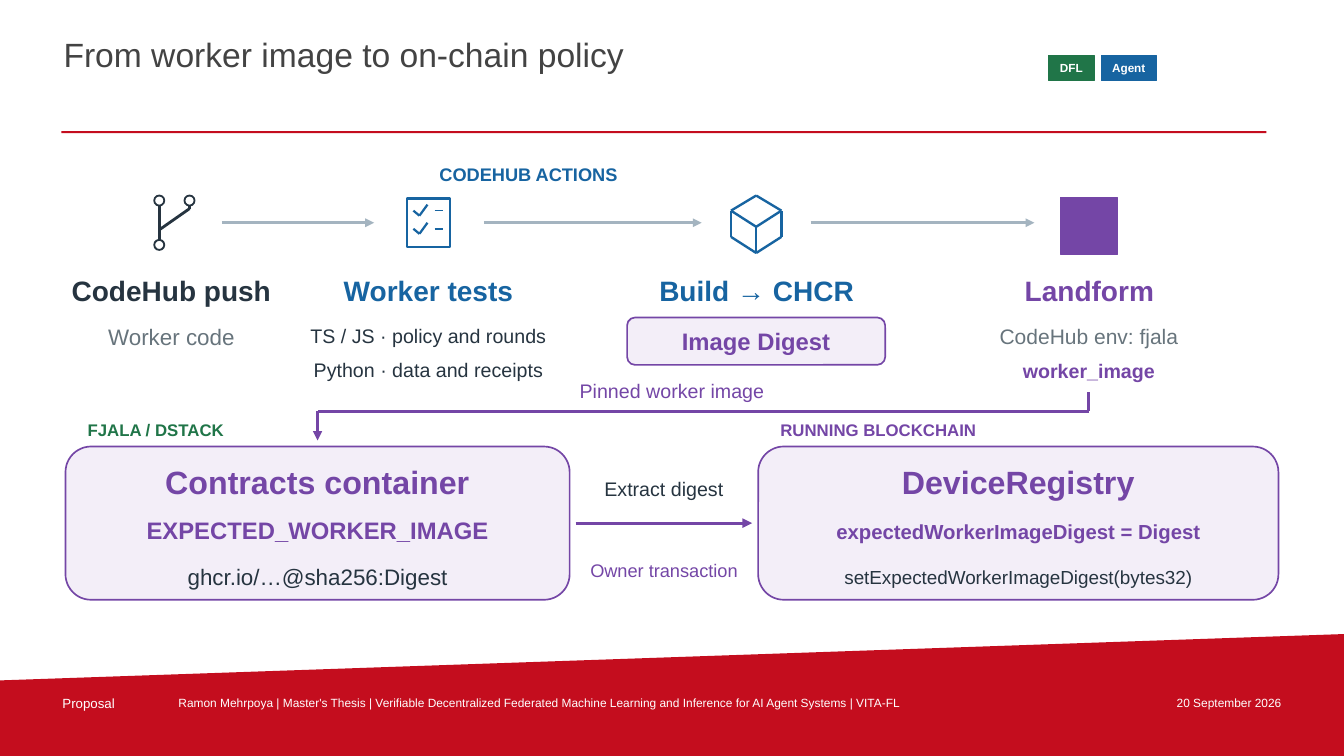
from itertools import pairwise

from lxml.etree import SubElement
from pptx import Presentation
from pptx.dml.color import RGBColor
from pptx.enum.shapes import MSO_CONNECTOR, MSO_SHAPE
from pptx.enum.text import MSO_ANCHOR, PP_ALIGN
from pptx.oxml.ns import qn
from pptx.util import Inches, Pt

RED = RGBColor(0xC4, 0x0D, 0x1E)
GREEN = RGBColor(0x20, 0x75, 0x48)
BLUE = RGBColor(0x17, 0x64, 0xA1)
PURPLE = RGBColor(0x74, 0x46, 0xA6)
LILAC = RGBColor(0xF3, 0xEE, 0xF8)
INK = RGBColor(0x26, 0x34, 0x40)
CHARCOAL = RGBColor(0x43, 0x43, 0x43)
GREY = RGBColor(0x67, 0x74, 0x7C)
STEEL = RGBColor(0xA4, 0xB4, 0xC0)
WHITE = RGBColor(0xFF, 0xFF, 0xFF)

# The grid has ten columns and ten rows to the inch.
CELL = Inches(0.1)
COLUMNS, ROWS = 133.3, 75


def cells(*counts):
    return [round(count * CELL) for count in counts]


class SlideBuilder:
    """Draws on one slide; every position is in grid columns and rows."""

    font_name = "Arial"

    def __init__(self, slide):
        self.slide = slide

    def set_words(self, frame, words, size, color, bold, align, anchor, inset=0):
        frame.word_wrap = True
        frame.vertical_anchor = anchor
        frame.margin_left = frame.margin_right = Inches(inset)
        frame.margin_top = frame.margin_bottom = Inches(inset)
        paragraph = frame.paragraphs[0]
        paragraph.text = words
        paragraph.alignment = align
        font = paragraph.font
        font.name, font.size, font.bold = self.font_name, Pt(size), bold
        font.color.rgb = color

    def label(self, box, words, size, color, bold=False, align=PP_ALIGN.CENTER):
        frame = self.slide.shapes.add_textbox(*cells(*box)).text_frame
        self.set_words(frame, words, size, color, bold, align, MSO_ANCHOR.MIDDLE)

    def page_text(self, box, words, size, color, align=PP_ALIGN.LEFT):
        """Title and footer text: top anchored with a thin margin."""
        frame = self.slide.shapes.add_textbox(*cells(*box)).text_frame
        self.set_words(frame, words, size, color, False, align, MSO_ANCHOR.TOP, 0.02)

    def paint(self, shape, fill, outline, width):
        shape.shadow.inherit = False
        shape.fill.solid()
        shape.fill.fore_color.rgb = fill
        if outline is None:
            shape.line.fill.background()
        else:
            shape.line.color.rgb = outline
            shape.line.width = Pt(width)

    def block(self, box, fill, outline=None, width=0.5, kind=MSO_SHAPE.RECTANGLE):
        shape = self.slide.shapes.add_shape(kind, *cells(*box))
        self.paint(shape, fill, outline, width)
        return shape

    def badge(self, box, words, size, color, fill, outline, width,
              kind=MSO_SHAPE.RECTANGLE):
        shape = self.block(box, fill, outline, width, kind)
        self.set_words(shape.text_frame, words, size, color, True,
                       PP_ALIGN.CENTER, MSO_ANCHOR.MIDDLE)

    def polygon(self, points, fill):
        start, *rest = [cells(*point) for point in points]
        builder = self.slide.shapes.build_freeform(*start)
        builder.add_line_segments(rest, close=True)
        self.paint(builder.convert_to_shape(), fill, None, 0)

    def route(self, points, color, width, arrow=False):
        """Joins the points with straight lines, with an optional arrowhead at the end."""
        for start, end in pairwise(points):
            line = self.slide.shapes.add_connector(
                MSO_CONNECTOR.STRAIGHT, *cells(*start, *end))
            line.line.color.rgb = color
            line.line.width = Pt(width)
            properties = line.element.spPr
            SubElement(properties, qn("a:effectLst"))
        if arrow:
            SubElement(properties.find(qn("a:ln")), qn("a:tailEnd"), type="triangle")


def draw_frame(page):
    page.polygon([(0, 67.5), (COLUMNS, 62.9), (COLUMNS, ROWS), (0, ROWS)], RED)
    page.page_text((6.1, 3.2, 96.5, 6.2), "From worker image to on-chain policy",
                   24, CHARCOAL)
    page.block((6.1, 13, 119.5, 0.2), RED)
    thesis = " | ".join([
        "Ramon Mehrpoya", "Master's Thesis",
        "Verifiable Decentralized Federated Machine Learning and Inference"
        " for AI Agent Systems", "VITA-FL"])
    page.page_text((6, 68.8, 10, 2.2), "Proposal", 9.5, WHITE)
    page.page_text((17.5, 68.8, 93.5, 2.2), thesis, 8.5, WHITE)
    page.page_text((112, 68.8, 15.3, 2.2), "20 September 2026", 8.5, WHITE,
                   PP_ALIGN.RIGHT)
    for left, width, tag, color in [(104, 4.5, "DFL", GREEN),
                                    (109.2, 5.5, "Agent", BLUE)]:
        page.badge((left, 5.5, width, 2.5), tag, 8.4, WHITE, color, color, 0.55)


def draw_icons(page):
    # Branch
    page.route([(15.8, 19.9), (15.8, 24.3)], INK, 2)
    page.route([(15.8, 22.8), (18.8, 20.7), (18.8, 19.9)], INK, 2)
    for x, y in [(15.8, 19.9), (15.8, 24.3), (18.8, 19.9)]:
        page.block((x - 0.5, y - 0.5, 1, 1), WHITE, INK, 1.3, MSO_SHAPE.OVAL)
    # Checklist
    page.block((40.4, 19.7, 4.2, 4.8), WHITE, BLUE, 1.6)
    for y in (20.9, 22.7):
        page.route([(41, y), (41.6, y + 0.5), (42.4, y - 0.6)], BLUE, 1.6)
        page.route([(43.1, y), (43.9, y)], BLUE, 1.2)
    # Cube
    top, centre, bottom = (75, 19.4), (75, 22.5), (75, 25.1)
    left, right = (72.5, 20.9), (77.5, 20.9)
    page.route([top, right, (77.5, 23.5), bottom, (72.5, 23.5), left, top], BLUE, 1.7)
    page.route([left, centre, right], BLUE, 1.7)
    page.route([centre, bottom], BLUE, 1.7)
    # Deployment
    page.block((105.2, 19.6, 5.6, 5.6), PURPLE, PURPLE)


def draw_pipeline(page):
    page.label((21.9, 15.8, 61, 2.9), "CODEHUB ACTIONS", 13, BLUE, True)
    for left, width, step, color in [(6, 22, "CodeHub push", INK),
                                     (29.5, 26, "Worker tests", BLUE),
                                     (60.8, 28.5, "Build → CHCR", BLUE),
                                     (94.3, 27.5, "Landform", PURPLE)]:
        page.label((left, 26.7, width, 4.1), step, 20, color, True)
    for start, end in [(22, 37.1), (48, 69.6), (80.4, 102.6)]:
        page.route([(start, 22.1), (end, 22.1)], STEEL, 2.1, arrow=True)
    draw_icons(page)
    page.label((7.5, 31.8, 19, 3.1), "Worker code", 16, GREY)
    page.label((25.3, 31.8, 34.4, 3), "TS / JS · policy and rounds", 14, INK)
    page.label((25.3, 35.2, 34.4, 3), "Python · data and receipts", 14, INK)
    page.badge((62.2, 31.5, 25.6, 4.7), "Image Digest", 17, PURPLE, LILAC, PURPLE,
               1.2, MSO_SHAPE.ROUNDED_RECTANGLE)
    page.label((93.8, 31.8, 28.4, 3.1), "CodeHub env: fjala", 15, GREY)
    page.label((93.8, 35.4, 28.4, 2.8), "worker_image", 14, PURPLE, True)


def draw_card(page, left, width, heading, heading_color, lines):
    """lines holds (top, height, words, size, color, bold) for each line."""
    page.label((left + 2.2, 41.3, width - 4.4, 2.7), heading, 12, heading_color,
               True, PP_ALIGN.LEFT)
    page.block((left, 44.3, width, 15.2), LILAC, PURPLE, 1.2,
               MSO_SHAPE.ROUNDED_RECTANGLE)
    for top, height, *style in lines:
        page.label((left + 2.2, top, width - 4.4, height), *style)


def draw_policy(page):
    page.route([(108, 38.9), (108, 40.8), (31.5, 40.8), (31.5, 43.7)],
               PURPLE, 2.2, arrow=True)
    page.label((51.1, 37.4, 31.1, 2.8), "Pinned worker image", 14, PURPLE)
    draw_card(page, 6.5, 50, "FJALA / DSTACK", GREEN, [
        (45.6, 4.3, "Contracts container", 23, PURPLE, True),
        (50.9, 3.4, "EXPECTED_WORKER_IMAGE", 17, PURPLE, True),
        (55.6, 3.2, "ghcr.io/…@sha256:Digest", 16, INK, False)])
    draw_card(page, 75.2, 51.6, "RUNNING BLOCKCHAIN", PURPLE, [
        (45.6, 4.3, "DeviceRegistry", 23, PURPLE, True),
        (51, 3.4, "expectedWorkerImageDigest = Digest", 14.5, PURPLE, True),
        (55.8, 2.9, "setExpectedWorkerImageDigest(bytes32)", 13.5, INK, False)])
    page.route([(57.1, 51.9), (74.6, 51.9)], PURPLE, 2.3, arrow=True)
    page.label((57.5, 47, 16.7, 3), "Extract digest", 14, INK)
    page.label((57.5, 53.8, 16.7, 5.5), "Owner transaction", 13, PURPLE)


def main():
    deck = Presentation()
    deck.slide_width, deck.slide_height = cells(COLUMNS, ROWS)
    page = SlideBuilder(deck.slides.add_slide(deck.slide_layouts[6]))
    draw_frame(page)
    draw_pipeline(page)
    draw_policy(page)
    deck.save("out.pptx")


if __name__ == "__main__":
    main()
